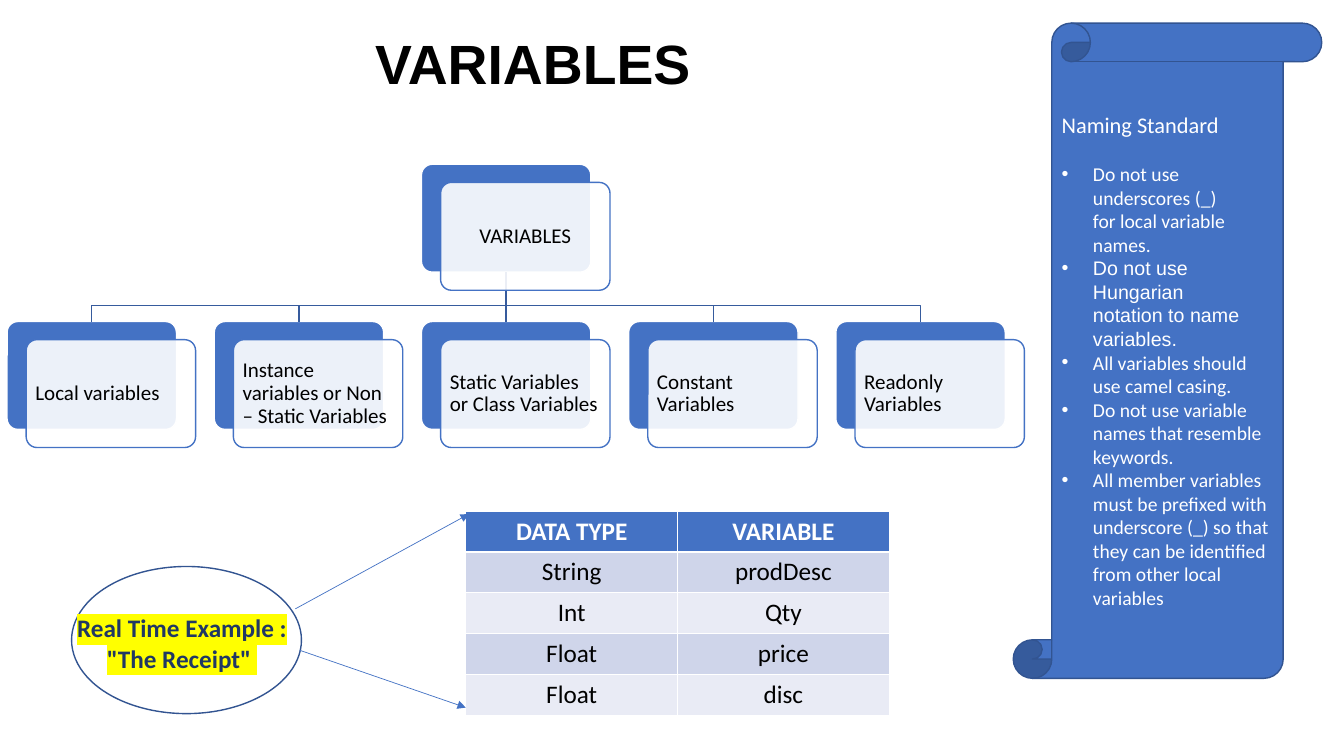
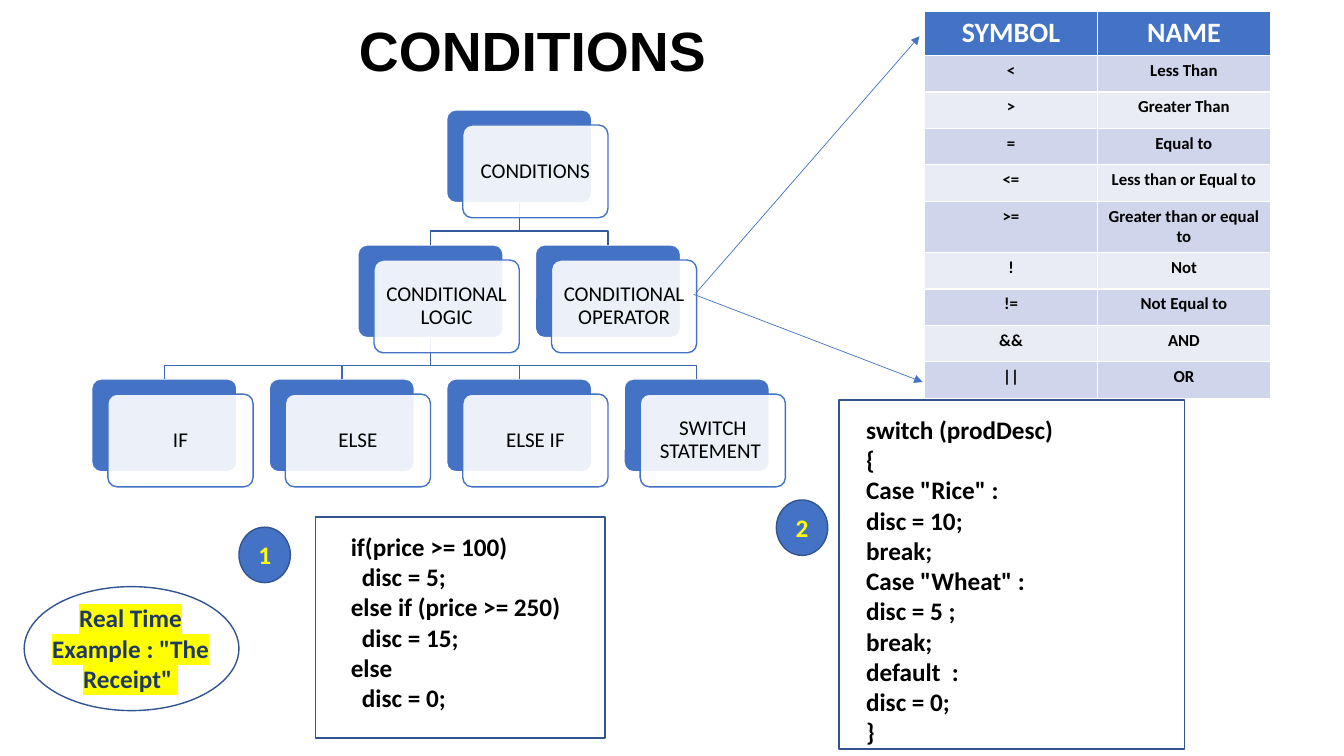
from dataclasses import dataclass
from typing import Any

import pptx
import pptx.dml.color
import pptx.enum.shapes
import pptx.enum.text
import pptx.oxml
import pptx.oxml.ns
import pptx.util
from pptx.util import Inches

Pt = pptx.util.Pt
RGBColor = pptx.dml.color.RGBColor
Shape = pptx.enum.shapes.MSO_SHAPE
Align = pptx.enum.text.PP_ALIGN
Anchor = pptx.enum.text.MSO_ANCHOR
STRAIGHT = pptx.enum.shapes.MSO_CONNECTOR.STRAIGHT

HARD_SPACE = chr(160)

BLACK = RGBColor(0x00, 0x00, 0x00)
WHITE = RGBColor(0xFF, 0xFF, 0xFF)
YELLOW = RGBColor(0xFF, 0xFF, 0x00)
BLUE = RGBColor(0x44, 0x72, 0xC4)
OUTLINE = RGBColor(0x32, 0x54, 0x91)
NAVY = RGBColor(0x20, 0x38, 0x64)
BAND_DARK = RGBColor(0xCF, 0xD5, 0xEA)
BAND_LIGHT = RGBColor(0xE9, 0xEB, 0xF5)
LINK_COLORS = (RGBColor(0x36, 0x5B, 0x9D), RGBColor(0x3E, 0x67, 0xB2))

TITLE_FONT = {"name": "Arial", "size": Pt(39.5), "bold": True}
CARD_FONT = {"name": "Calibri", "size": Pt(15), "bold": False}
STRONG_FONT = {"name": "Calibri", "size": Pt(18), "bold": True}
PLAIN_FONT = {"name": "Calibri", "size": Pt(18), "bold": False}
SYMBOL_HEAD_FONT = {"name": "Calibri", "size": Pt(20), "bold": True}
SYMBOL_FONT = {"name": "Calibri", "size": Pt(12), "bold": True}
HEADING_FONT = {"name": "Calibri", "size": Pt(16), "bold": False}
RULE_FONT = {"name": "Calibri", "size": Pt(14), "bold": False}

Box = tuple[float, float, float, float]
Point = tuple[float, float]


@dataclass(frozen=True)
class Node:
    text: str
    column: int
    children: tuple["Node", ...] = ()


@dataclass(frozen=True)
class Tree:
    root: Node
    left: float
    pitch: float
    tops: tuple[float, ...]
    width: float
    height: float
    shift: Point
    leaf_align: Any


@dataclass(frozen=True)
class Grid:
    rows: tuple[tuple[str, str], ...]
    left: float
    top: float
    column_width: float
    row_height: float
    head_font: dict[str, Any]
    body_font: dict[str, Any]


@dataclass(frozen=True)
class CodeBlock:
    lines: tuple[str, ...]
    box: Box
    margin: float
    indented: tuple[int, ...] = ()


VARIABLE_TREE = Tree(
    Node("VARIABLES", 2, tuple(Node(text, column) for column, text in enumerate((
        "Local variables", "Instance variables or Non – Static Variables",
        "Static Variables or Class Variables", "Constant Variables",
        "Readonly Variables")))),
    0.07, 8.22 / 4, (1.63, 3.19), 1.68, 1.07, (0.19, 0.18), Align.LEFT)

CONDITION_TREE = Tree(
    Node("CONDITIONS", 4, (
        Node("CONDITIONAL LOGIC", 3, (
            Node("IF", 0), Node("ELSE", 2), Node("ELSE IF", 4),
            Node(f"SWITCH STATEMENT{HARD_SPACE}", 6))),
        Node("CONDITIONAL OPERATOR", 5))),
    0.91, 0.88, (1.09, 2.43, 3.76), 1.44, 0.92, (0.16, 0.15), Align.CENTER)

VARIABLE_GRID = Grid(
    (("DATA TYPE", "VARIABLE"), ("String", "prodDesc"), ("Int", "Qty"),
     ("Float", "price"), ("Float", "disc")),
    4.62, 5.07, 2.1, 0.4, STRONG_FONT, PLAIN_FONT)

SYMBOL_GRID = Grid(
    (("SYMBOL", "NAME"), ("<", "Less Than"), (">", "Greater Than"),
     ("=", "Equal to"), ("<=", "Less than or Equal to"),
     (">=", "Greater than or equal to"), ("!", "Not"),
     ("!=", "Not Equal to"), ("&&", "AND"), ("||", "OR")),
    9.17, 0.11, 3.43 / 2, 3.62 / 10, SYMBOL_HEAD_FONT, SYMBOL_FONT)

NAMING_RULES = (
    (f"Do not use underscores (_) for{HARD_SPACE}local variable names.", "Calibri"),
    (f"Do not use Hungarian notation{HARD_SPACE}to name variables.", "Arial"),
    (f"All variables should use camel{HARD_SPACE}casing.", "Calibri"),
    (f"Do not use variable names that{HARD_SPACE}resemble keywords.", "Calibri"),
    (f"All member variables must be{HARD_SPACE}prefixed with underscore (_) "
     f"so{HARD_SPACE}that they can be identified from{HARD_SPACE}other local variables",
     "Calibri"),
)

CODE_BLOCKS = (
    CodeBlock(("if(price >= 100)", "disc = 5;", "else if (price >= 250)",
               "disc = 15;", "else", "disc = 0;"),
              (3.13, 5.13, 2.87, 2.19), 0.35, (1, 3, 5)),
    CodeBlock(("switch (prodDesc)", "{", 'Case "Rice" :', "disc = 10;", "break;",
               'Case "Wheat" :', "disc = 5 ;", "break;", f"default{HARD_SPACE} :",
               "disc = 0;", "}"),
              (8.32, 3.97, 3.43, 3.46), 0.27),
)
BADGES = (("1", 2.37, 5.23), ("2", 7.7, 4.96))


def apply_format(target: Any, values: dict[str, Any]) -> None:
    for name, value in values.items():
        setattr(target, name, value)


def add_child(parent: Any, tag: str, **attributes: str) -> Any:
    child = pptx.oxml.parse_xml(f"<{tag} {pptx.oxml.ns.nsdecls('a')}/>")
    for name, value in attributes.items():
        child.set(name, value)
    parent.append(child)
    return child


def write(para: Any, text: str, font: dict[str, Any], color: RGBColor,
          align: Any = Align.LEFT) -> Any:
    para.alignment = align
    span = para.add_run()
    span.text = text
    apply_format(span.font, font)
    span.font.color.rgb = color
    return span


def add_block(page: Any, kind: Any, box: Box, fill: RGBColor | None = None,
              line: RGBColor = OUTLINE) -> Any:
    shape = page.shapes.add_shape(kind, *map(Inches, box))
    shape.shadow.inherit = False
    if fill is None:
        shape.fill.background()
    else:
        shape.fill.solid()
        shape.fill.fore_color.rgb = fill
    shape.line.color.rgb = line
    shape.line.width = Pt(1)
    return shape


def add_line(page: Any, start: Point, end: Point, color: RGBColor, width: float) -> Any:
    line = page.shapes.add_connector(STRAIGHT, *map(Inches, (*start, *end)))
    line.line.color.rgb = color
    line.line.width = Pt(width)
    add_child(line._element.spPr, "a:effectLst")
    return line


def add_arrow(page: Any, start: Point, end: Point) -> None:
    arrow = add_line(page, start, end, BLUE, 0.5)
    add_child(arrow.line._get_or_add_ln(), "a:tailEnd", type="triangle")


def add_page(deck: Any, title: str, box: Box) -> Any:
    page = deck.slides.add_slide(deck.slide_layouts[5])
    holder = page.shapes.title
    apply_format(holder, dict(zip(("left", "top", "width", "height"), map(Inches, box))))
    apply_format(holder.text_frame, {
        "vertical_anchor": Anchor.MIDDLE, "word_wrap": True,
        "auto_size": pptx.enum.text.MSO_AUTO_SIZE.NONE})
    para = holder.text_frame.paragraphs[0]
    para.line_spacing = 0.9
    write(para, title, TITLE_FONT, BLACK)
    return page


def add_tree(page: Any, tree: Tree) -> None:
    """Stack the blue cards, then the links, then the translucent labels."""
    placed: list[tuple[Node, int, Box]] = []
    links: list[tuple[Any, Any, Box, Box, int]] = []

    def place(node: Node, depth: int) -> tuple[Box, Any]:
        box = (tree.left + node.column * tree.pitch, tree.tops[depth],
               tree.width, tree.height)
        card = add_block(page, Shape.ROUNDED_RECTANGLE, box, BLUE, WHITE)
        card.adjustments[0] = 0.1
        placed.append((node, depth, box))
        for child in node.children:
            child_box, child_card = place(child, depth + 1)
            links.append((card, child_card, box, child_box, depth))
        return box, card

    place(tree.root, 0)
    for card, child_card, box, child_box, depth in links:
        add_link(page, card, child_card, box, child_box, LINK_COLORS[depth])
    for node, depth, (left, top, width, height) in placed:
        label = add_block(page, Shape.ROUNDED_RECTANGLE,
                          (left + tree.shift[0], top + tree.shift[1], width, height),
                          WHITE, BLUE)
        label.adjustments[0] = 0.1
        color = label._element.spPr.find(".//" + pptx.oxml.ns.qn("a:srgbClr"))
        add_child(color, "a:alpha", val="90000")
        margins = ("margin_left", "margin_right", "margin_top", "margin_bottom")
        apply_format(label.text_frame, dict.fromkeys(margins, Inches(0.06)))
        apply_format(label.text_frame, {"word_wrap": True, "vertical_anchor": Anchor.MIDDLE})
        para = label.text_frame.paragraphs[0]
        para.line_spacing = 0.9
        write(para, node.text, CARD_FONT, BLACK,
              tree.leaf_align if depth else Align.CENTER)


def add_link(page: Any, card: Any, child_card: Any, box: Box, child_box: Box,
             color: RGBColor) -> None:
    start = (box[0] + box[2] / 2, box[1] + box[3])
    end = (child_box[0] + child_box[2] / 2, child_box[1])
    if card.left == child_card.left:
        line = add_line(page, start, end, color, 1)
        line.begin_connect(card, 2)
        line.end_connect(child_card, 0)
        return
    bend = start[1] + (end[1] - start[1]) * 0.67
    builder = page.shapes.build_freeform(*map(Inches, start))
    corners = ((start[0], bend), (end[0], bend), end)
    builder.add_line_segments([(Inches(x), Inches(y)) for x, y in corners], close=False)
    elbow = builder.convert_to_shape()
    elbow.shadow.inherit = False
    elbow.fill.background()
    elbow.line.color.rgb = color
    elbow.line.width = Pt(1)


def add_grid(page: Any, grid: Grid) -> None:
    count = len(grid.rows)
    table = page.shapes.add_table(
        count, 2, Inches(grid.left), Inches(grid.top),
        Inches(2 * grid.column_width), Inches(count * grid.row_height)).table
    for index, texts in enumerate(grid.rows):
        font, color, fill = grid.body_font, BLACK, BAND_DARK if index % 2 else BAND_LIGHT
        if index == 0:
            font, color, fill = grid.head_font, WHITE, BLUE
        for column, text in enumerate(texts):
            cell = table.cell(index, column)
            cell.fill.solid()
            cell.fill.fore_color.rgb = fill
            write(cell.text_frame.paragraphs[0], text, font, color, Align.CENTER)


def add_example(page: Any, ellipse: Box, text_box: Box, text: str) -> None:
    add_block(page, Shape.OVAL, ellipse)
    frame = page.shapes.add_textbox(*map(Inches, text_box)).text_frame
    frame.word_wrap = True
    span = write(frame.paragraphs[0], text, STRONG_FONT, NAVY, Align.CENTER)
    fill = span._r.rPr.find(pptx.oxml.ns.qn("a:solidFill"))
    highlight = add_child(span._r.rPr, "a:highlight")
    add_child(highlight, "a:srgbClr", val=str(YELLOW))
    fill.addnext(highlight)


def add_naming_scroll(page: Any) -> None:
    scroll = add_block(page, Shape.VERTICAL_SCROLL, (10.05, 0.23, 3.06, 6.5), BLUE)
    frame = scroll.text_frame
    apply_format(frame, {"word_wrap": True, "vertical_anchor": Anchor.MIDDLE})
    write(frame.paragraphs[0], "Naming Standard", HEADING_FONT, WHITE)
    for index, (rule, face) in enumerate(NAMING_RULES):
        para = frame.add_paragraph()
        write(para, rule, RULE_FONT | {"name": face}, WHITE)
        if index == 0:
            para.space_before = Pt(17)
        properties = para._p.get_or_add_pPr()
        properties.set("marL", str(Inches(0.31)))
        properties.set("indent", str(-Inches(0.31)))
        add_child(properties, "a:buFont", typeface="Arial")
        add_child(properties, "a:buChar", char="•")


def add_code(page: Any, block: CodeBlock) -> None:
    frame = add_block(page, Shape.RECTANGLE, block.box).text_frame
    apply_format(frame, {"word_wrap": True, "vertical_anchor": Anchor.TOP,
                         "margin_left": Inches(block.margin), "margin_top": Inches(0.14)})
    for index, line in enumerate(block.lines):
        para = frame.add_paragraph() if index else frame.paragraphs[0]
        write(para, line, STRONG_FONT, BLACK)
        if index in block.indented:
            para._p.get_or_add_pPr().set("marL", str(Inches(0.11)))


def add_badge(page: Any, number: str, left: float, top: float) -> None:
    frame = add_block(page, Shape.OVAL, (left, top, 0.51, 0.55), BLUE).text_frame
    apply_format(frame, {"word_wrap": False, "vertical_anchor": Anchor.MIDDLE})
    write(frame.paragraphs[0], number, STRONG_FONT, YELLOW, Align.CENTER)


def main() -> None:
    deck = pptx.Presentation()
    apply_format(deck, {"slide_width": Inches(13.33), "slide_height": Inches(7.5)})

    variables = add_page(deck, "VARIABLES", (3.62, 0.26, 3.6, 0.8))
    add_tree(variables, VARIABLE_TREE)
    add_grid(variables, VARIABLE_GRID)
    add_example(variables, (0.71, 5.62, 2.28, 1.46), (0.62, 6.03, 2.37, 0.71),
                f'Real Time Example : "The Receipt"{HARD_SPACE}')
    add_arrow(variables, (2.97, 6.45), (4.62, 7.02))
    add_arrow(variables, (2.93, 6.04), (4.65, 5.1))
    add_naming_scroll(variables)

    conditions = add_page(deck, "CONDITIONS", (3.46, 0, 6.01, 1.07))
    add_tree(conditions, CONDITION_TREE)
    add_grid(conditions, SYMBOL_GRID)
    add_arrow(conditions, (6.9, 2.91), (9.12, 0.36))
    add_arrow(conditions, (6.88, 2.92), (9.15, 3.79))
    add_example(conditions, (0.24, 5.82, 2.13, 1.23), (0.23, 5.93, 2.13, 1.01),
                f'Real Time Example :{HARD_SPACE}"The Receipt"{HARD_SPACE}')
    for block in CODE_BLOCKS:
        add_code(conditions, block)
    for badge in BADGES:
        add_badge(conditions, *badge)

    deck.save("out.pptx")


if __name__ == "__main__":
    main()
